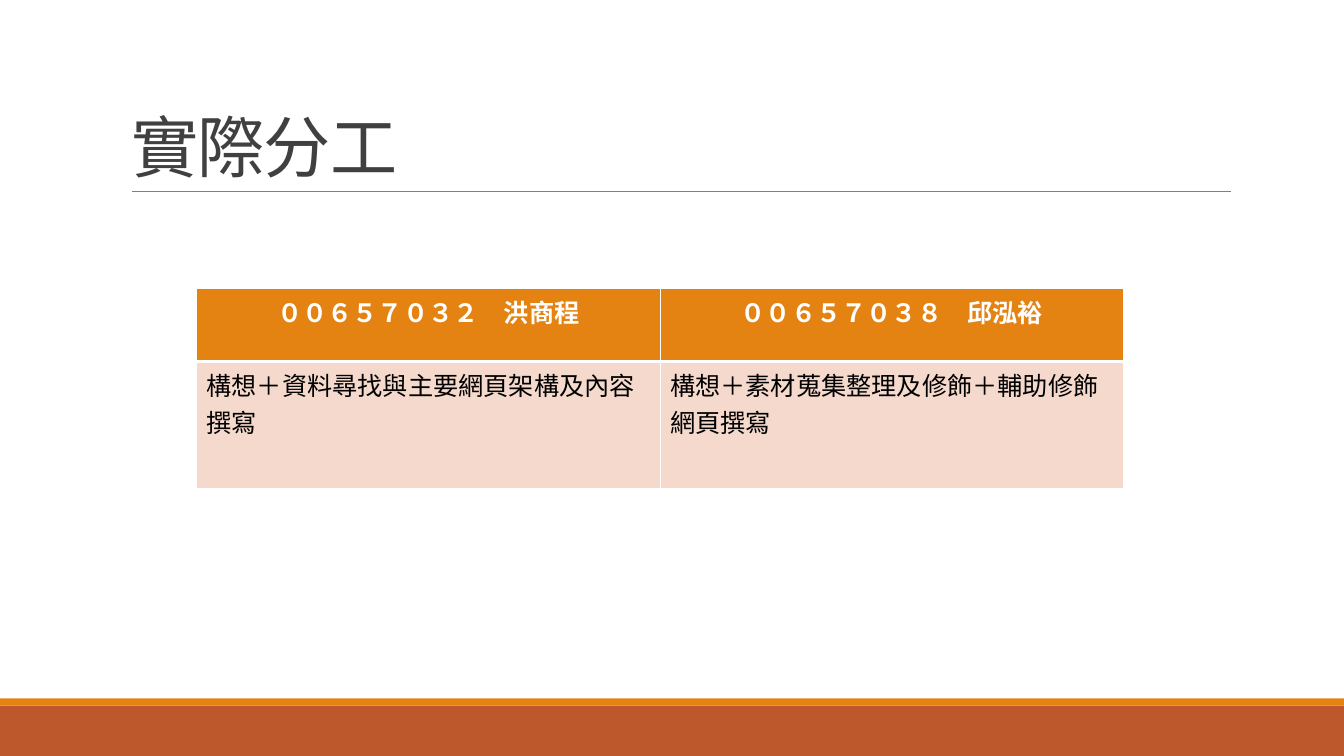
"""Builds the slide that shows how the work was divided."""
from dataclasses import dataclass

from lxml.etree import SubElement
from pptx import Presentation
from pptx.dml.color import RGBColor
from pptx.enum.shapes import MSO_CONNECTOR, MSO_SHAPE
from pptx.enum.text import MSO_ANCHOR, PP_ALIGN
from pptx.oxml import parse_xml
from pptx.oxml.ns import nsdecls, qn
from pptx.util import Cm, Pt


@dataclass(frozen=True)
class Theme:
    rust: str = "BD582C"
    orange: str = "E48312"
    blush: str = "F5D9CC"
    white: str = "FFFFFF"
    black: str = "000000"
    charcoal: str = "404040"
    gray: str = "808080"
    title_font: str = "Calibri"
    table_font: str = "Noto Sans CJK SC"
    title_size: int = 48
    table_size: int = 18


class SlideBuilder:
    def __init__(self, slide, theme):
        self.slide = slide
        self.theme = theme

    def format_run(self, run, color, **formats):
        for name, value in formats.items():
            setattr(run.font, name, value)
        run.font.color.rgb = RGBColor.from_string(color)

    def band(self, top, height, color):
        shape = self.slide.shapes.add_shape(
            MSO_SHAPE.RECTANGLE, 0, Cm(top), Cm(33.87), Cm(height))
        shape.shadow.inherit = False
        shape.fill.solid()
        shape.fill.fore_color.rgb = RGBColor.from_string(color)
        shape.line.fill.background()

    def rule(self, left, right, top):
        connector = self.slide.shapes.add_connector(
            MSO_CONNECTOR.STRAIGHT, Cm(left), Cm(top), Cm(right), Cm(top))
        connector.line.color.rgb = RGBColor.from_string(self.theme.gray)
        connector.line.width = Pt(0.5)
        SubElement(connector._element.spPr, qn("a:effectLst"))

    def title(self, text, left, top, width, height):
        shape = self.slide.shapes.title
        box = {"left": left, "top": top, "width": width, "height": height}
        for name, value in box.items():
            setattr(shape, name, Cm(value))
        shape.text_frame.vertical_anchor = MSO_ANCHOR.BOTTOM
        paragraph = shape.text_frame.paragraphs[0]
        paragraph.alignment = PP_ALIGN.LEFT
        paragraph.line_spacing = 0.85
        run = paragraph.add_run()
        run.text = text
        self.format_run(run, self.theme.charcoal, name=self.theme.title_font,
                        size=Pt(self.theme.title_size))
        run._r.get_or_add_rPr().set("spc", "-50")

    def border(self, cell, widths):
        properties = cell._tc.get_or_add_tcPr()
        for index, (side, width) in enumerate(widths.items()):
            properties.insert(index, parse_xml(
                f'<a:ln{side} {nsdecls("a")} w="{Pt(width)}"><a:solidFill>'
                f'<a:srgbClr val="{self.theme.white}"/></a:solidFill></a:ln{side}>'))

    def cell(self, cell, text, is_header):
        theme = self.theme
        cell.fill.solid()
        cell.fill.fore_color.rgb = RGBColor.from_string(
            theme.orange if is_header else theme.blush)
        paragraph = cell.text_frame.paragraphs[0]
        paragraph.alignment = PP_ALIGN.CENTER if is_header else PP_ALIGN.LEFT
        run = paragraph.add_run()
        run.text = text
        self.format_run(run, theme.white if is_header else theme.black,
                        name=theme.table_font, size=Pt(theme.table_size),
                        bold=is_header)
        SubElement(run._r.get_or_add_rPr(), qn("a:ea"), typeface=theme.table_font)
        self.border(cell, {"L": 1, "R": 1, "T": 1 if is_header else 3,
                           "B": 3 if is_header else 1})

    def table(self, rows, left, top, width, heights):
        table = self.slide.shapes.add_table(
            len(rows), len(rows[0]), Cm(left), Cm(top), Cm(width),
            Cm(sum(heights))).table
        for row_index, (texts, height) in enumerate(zip(rows, heights)):
            table.rows[row_index].height = Cm(height)
            for column_index, text in enumerate(texts):
                self.cell(table.cell(row_index, column_index), text, row_index == 0)


def main():
    presentation = Presentation()
    presentation.slide_width = Cm(33.87)
    presentation.slide_height = Cm(19.05)
    slide = presentation.slides.add_slide(presentation.slide_layouts[5])
    theme = Theme()
    builder = SlideBuilder(slide, theme)
    builder.band(17.78, 1.27, theme.rust)
    builder.band(17.6, 0.18, theme.orange)
    builder.rule(3.33, 31.01, 4.83)
    builder.title("實際分工", 3.05, 0.79, 27.94, 4.04)
    builder.table(
        [["００６５７０３２　洪商程", "００６５７０３８　邱泓裕"],
         ["構想＋資料尋找與主要網頁架構及內容撰寫",
          "構想＋素材蒐集整理及修飾＋輔助修飾網頁撰寫"]],
        4.95, 7.26, 23.37, [1.85, 3.2])
    presentation.save("out.pptx")


if __name__ == "__main__":
    main()
